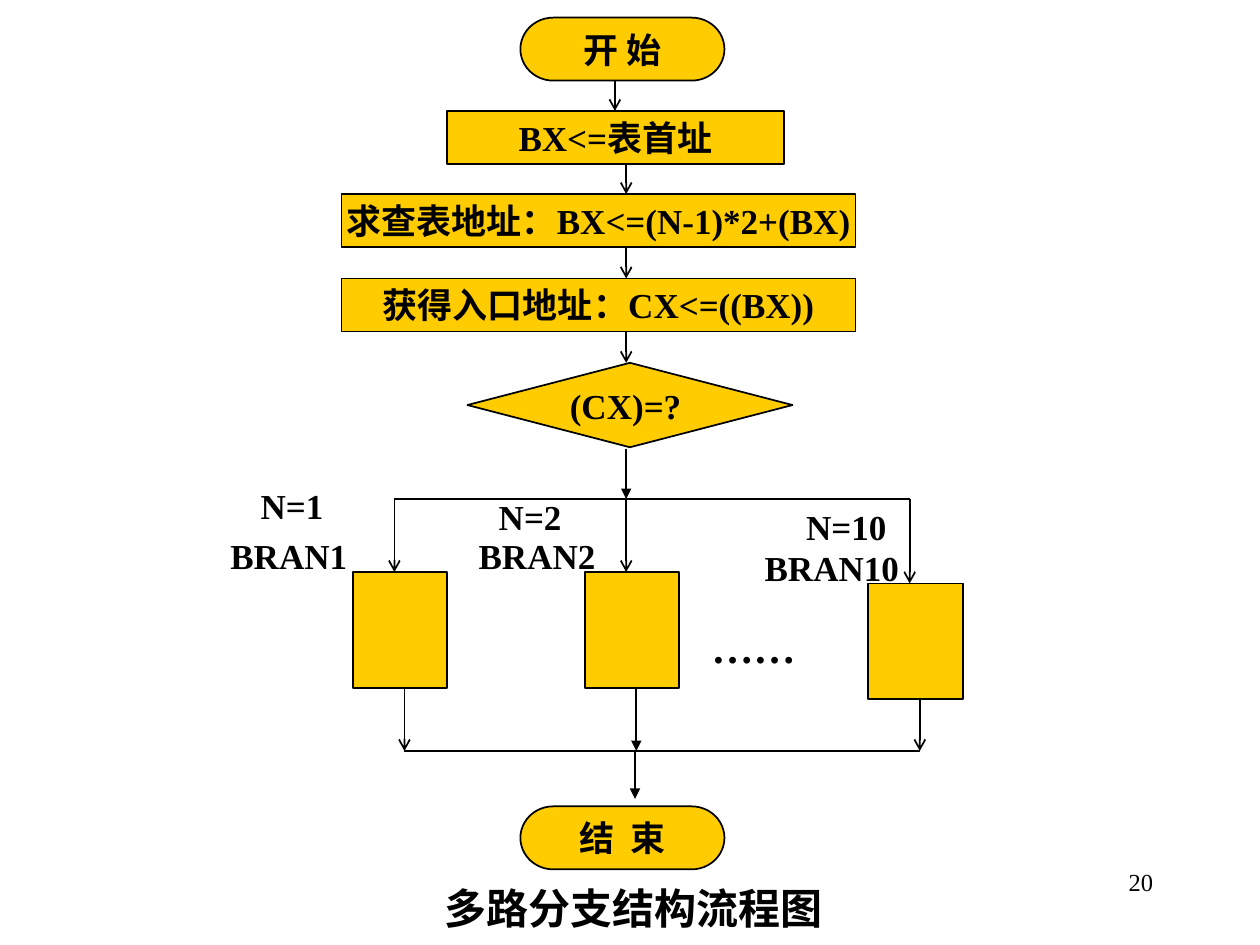
"""Build the flowchart slide of a multi-way branch structure."""
from typing import Any, NamedTuple

from lxml.etree import SubElement
from pptx import Presentation
from pptx.dml.color import RGBColor
from pptx.enum.shapes import MSO_CONNECTOR as Connector, MSO_SHAPE as Shape
from pptx.enum.text import MSO_ANCHOR as Anchor, MSO_AUTO_SIZE as AutoSize, PP_ALIGN as Align
from pptx.oxml.ns import qn
from pptx.util import Emu, Pt

EMU_PER_PX = 9144
BLACK = RGBColor(0x00, 0x00, 0x00)
AMBER = RGBColor(0xFF, 0xCC, 0x00)
BODY = {"name": "Times New Roman", "size": Pt(20), "bold": True}
LARGE = BODY | {"size": Pt(24)}
NUMBER = BODY | {"size": Pt(14), "bold": False}
BUS_TOP, BUS_BOTTOM, TRUNK = 396, 596, 497
BRANCH_WIDTH, BRANCH_HEIGHT, ENTRY, EXIT = 75, 92, 33, 41


class Box(NamedTuple):
    left: int
    top: int
    width: int
    height: int
    text: str = ""
    kind: Shape = Shape.FLOWCHART_PROCESS


class Label(NamedTuple):
    left: int
    top: int
    width: int
    height: int
    text: str
    font: dict[str, Any] = BODY
    align: Align = Align.LEFT


class Line(NamedTuple):
    x1: int
    y1: int
    x2: int
    y2: int
    arrow: str = "arrow"


class Branch(NamedTuple):
    left: int
    top: int
    exit_arrow: str = "arrow"


STEPS = [
    Box(413, 14, 162, 50, "开 始", Shape.FLOWCHART_TERMINATOR),
    Box(355, 88, 267, 42, "BX<=表首址"),
    Box(271, 154, 408, 42, "求查表地址：BX<=(N-1)*2+(BX)"),
    Box(271, 221, 408, 42, "获得入口地址：CX<=((BX))"),
    Box(371, 288, 258, 67, "(CX)=? ", Shape.FLOWCHART_DECISION),
    Box(413, 640, 162, 50, "结  束", Shape.FLOWCHART_TERMINATOR),
]
BRANCHES = [Branch(280, 454), Branch(464, 454, "triangle"), Branch(689, 463)]
LINES = [
    Line(488, 64, 488, 88),
    *(Line(TRUNK, top, TRUNK, top + 25) for top in (129, 196, 263)),
    Line(TRUNK, 356, TRUNK, BUS_TOP, "triangle"),
    Line(TRUNK, BUS_TOP, BRANCHES[0].left + ENTRY, BUS_TOP, ""),
    Line(TRUNK, BUS_TOP, BRANCHES[-1].left + ENTRY, BUS_TOP, ""),
    Line(BRANCHES[0].left + EXIT, BUS_BOTTOM, BRANCHES[-1].left + EXIT, BUS_BOTTOM, ""),
    Line(504, BUS_BOTTOM, 504, 634, "triangle"),
]
LABELS = [
    Label(197, 380, 100, 44, "N=1"),
    Label(173, 419, 117, 44, "BRAN1"),
    Label(386, 388, 92, 44, "N=2"),
    Label(370, 419, 125, 44, "BRAN2"),
    Label(630, 396, 105, 44, "N=10"),
    Label(597, 429, 133, 44, "BRAN10"),
    Label(555, 488, 108, 50, "……", LARGE),
    Label(717, 683, 208, 50, "20", NUMBER, Align.RIGHT),
]
TITLE = Label(343, 695, 350, 50, "多路分支结构流程图", LARGE)


def px(*lengths: int) -> list[Emu]:
    return [Emu(length * EMU_PER_PX) for length in lengths]


def apply(target: Any, values: dict[str, Any]) -> None:
    for name, value in values.items():
        setattr(target, name, value)


def write(shape: Any, text: str, font: dict[str, Any], align: Align, frame: dict[str, Any]) -> None:
    apply(shape.text_frame, {"text": text, "auto_size": AutoSize.NONE} | frame)
    paragraph = shape.text_frame.paragraphs[0]
    paragraph.alignment = align
    run_font = paragraph.runs[0].font
    apply(run_font, font)
    run_font.color.rgb = BLACK


def style_line(shape: Any) -> None:
    shape.line.color.rgb = BLACK
    shape.line.width = Pt(1)


def draw_box(slide: Any, box: Box) -> None:
    shape = slide.shapes.add_shape(box.kind, *px(*box[:4]))
    shape.shadow.inherit = False
    shape.fill.solid()
    shape.fill.fore_color.rgb = AMBER
    style_line(shape)
    if box.text:
        frame = {"word_wrap": False, "vertical_anchor": Anchor.MIDDLE}
        write(shape, box.text, BODY, Align.CENTER, frame)


def draw_line(slide: Any, line: Line) -> None:
    connector = slide.shapes.add_connector(Connector.STRAIGHT, *px(*line[:4]))
    style_line(connector)
    if line.arrow:
        SubElement(connector.line._get_or_add_ln(), qn("a:tailEnd"), type=line.arrow)
    SubElement(connector._element.spPr, qn("a:effectLst"))


def draw_branch(slide: Any, branch: Branch) -> None:
    left, top, exit_arrow = branch
    bottom = top + BRANCH_HEIGHT
    draw_box(slide, Box(left, top, BRANCH_WIDTH, BRANCH_HEIGHT))
    draw_line(slide, Line(left + ENTRY, BUS_TOP, left + ENTRY, top))
    draw_line(slide, Line(left + EXIT, bottom, left + EXIT, BUS_BOTTOM, exit_arrow))


def fill_label(shape: Any, label: Label) -> None:
    frame = {"word_wrap": True, "vertical_anchor": Anchor.TOP}
    write(shape, label.text, label.font, label.align, frame)


def main() -> None:
    presentation = Presentation()
    presentation.slide_width, presentation.slide_height = px(1000, 750)
    slide = presentation.slides.add_slide(presentation.slide_layouts[5])
    title = slide.shapes.title
    apply(title, dict(zip(("left", "top", "width", "height"), px(*TITLE[:4]))))
    fill_label(title, TITLE)
    for box in STEPS:
        draw_box(slide, box)
    for branch in BRANCHES:
        draw_branch(slide, branch)
    for line in LINES:
        draw_line(slide, line)
    for label in LABELS:
        fill_label(slide.shapes.add_textbox(*px(*label[:4])), label)
    presentation.save("out.pptx")


if __name__ == "__main__":
    main()
